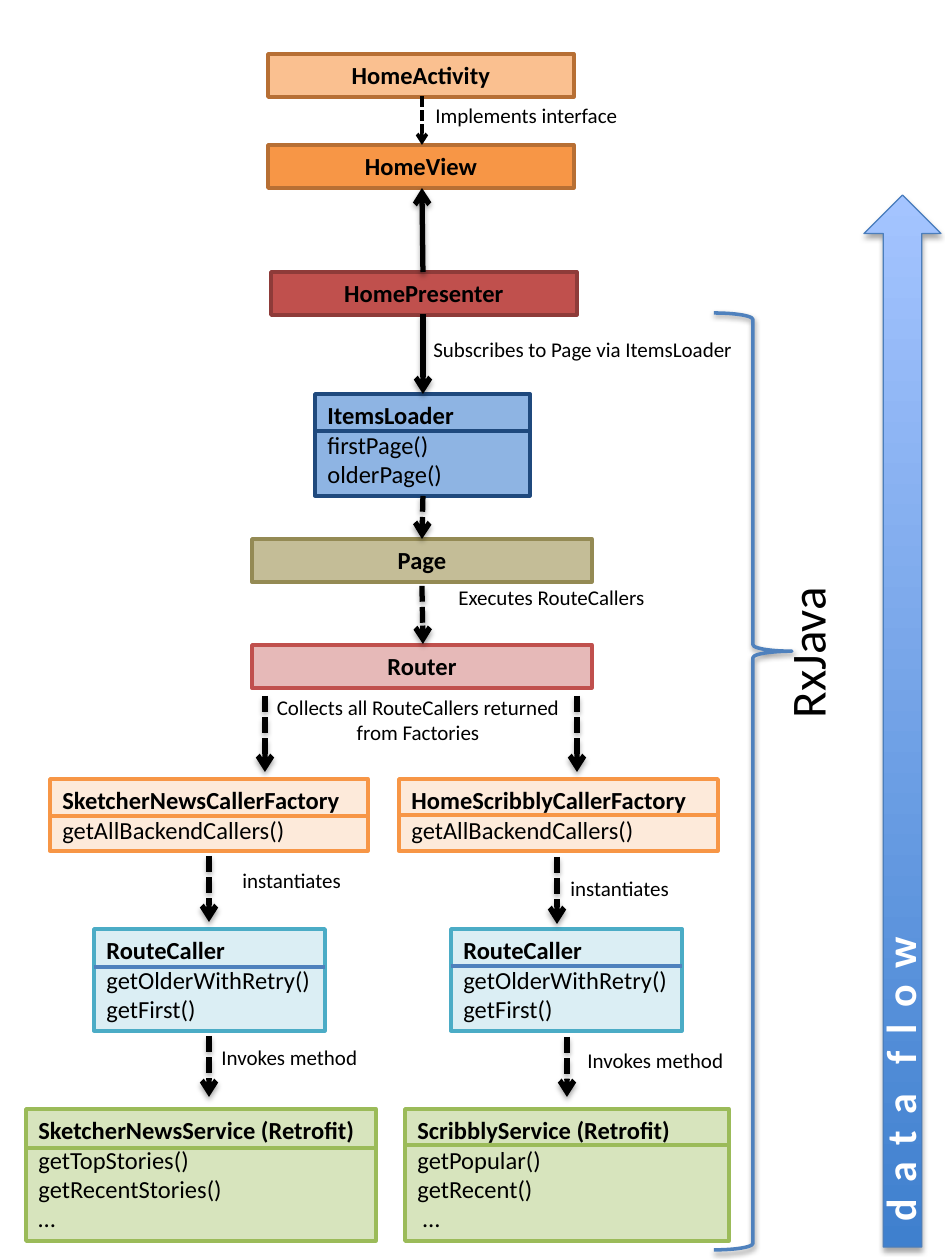
from lxml import etree
from pptx import Presentation
from pptx.dml.color import RGBColor
from pptx.enum.dml import MSO_LINE
from pptx.enum.shapes import MSO_CONNECTOR, MSO_SHAPE
from pptx.enum.text import MSO_ANCHOR, PP_ALIGN
from pptx.oxml.ns import qn
from pptx.util import Emu, Pt

RECT, BRACE, UP = MSO_SHAPE.RECTANGLE, MSO_SHAPE.RIGHT_BRACE, MSO_SHAPE.UP_ARROW
STRAIGHT, DASH = MSO_CONNECTOR.STRAIGHT, MSO_LINE.SQUARE_DOT
LEFT, CENTER, TOP = PP_ALIGN.LEFT, PP_ALIGN.CENTER, MSO_ANCHOR.TOP
PX = 914400 // 126
FONT = "Calibri"

COLORS = {
    "black": "000000", "white": "FFFFFF", "blue": "4F81BD",
    "peach": "FAC090", "orange": "F79646", "brown": "B76F34",
    "red": "C0504D", "dark_red": "8E3B39", "pink": "E6B9B8",
    "sky": "8EB4E3", "navy": "1F497D", "tan": "C4BD97", "olive": "948A54",
    "cream": "FDEADA", "ice": "DBEEF4", "teal": "4BACC6",
    "pale_green": "D7E4BD", "green": "9BBB59",
    "flow_dark": "3F80CE", "flow_light": "A4C4FF", "flow_line": "4B7EBC",
}

# name, left, top, width, fill, line
BARS = [
    ("HomeActivity", 268, 54, 306, "peach", "brown"),
    ("HomeView", 268, 145, 306, "orange", "brown"),
    ("HomePresenter", 271, 272, 306, "red", "dark_red"),
    ("Page", 252, 539, 340, "tan", "olive"),
    ("Router", 252, 645, 340, "pink", "red"),
]
BAR_HEIGHT = 43

CALLER = ["RouteCaller", "getOlderWithRetry()", "getFirst()"]
# lines, left, top, width, height, divider y, fill, line, divider colour
CLASSES = [
    (["ItemsLoader", "firstPage()", "olderPage()"],
     315, 394, 215, 102, 431, "sky", "navy", "navy"),
    (["SketcherNewsCallerFactory", "getAllBackendCallers()"],
     50, 779, 318, 72, 816, "cream", "orange", "orange"),
    (["HomeScribblyCallerFactory", "getAllBackendCallers()"],
     399, 779, 319, 72, 815, "cream", "orange", "orange"),
    (CALLER, 94, 929, 231, 102, 967, "ice", "teal", "blue"),
    (CALLER, 451, 929, 231, 102, 966, "ice", "teal", "blue"),
    (["SketcherNewsService (Retrofit)", "getTopStories()", "getRecentStories()", "…"],
     26, 1109, 350, 132, 1148, "pale_green", "green", "green"),
    (["ScribblyService (Retrofit)", "getPopular()", "getRecent()", " …"],
     405, 1109, 324, 132, 1145, "pale_green", "green", "green"),
]

# x1, y1, x2, y2, dashed, width
ARROWS = [
    (422, 96, 422, 145, True, 2),
    (423, 272, 422, 188, False, 3),
    (423, 314, 423, 394, False, 3),
    (423, 496, 422, 539, True, 3),
    (422, 586, 423, 644, True, 3),
    (265, 696, 265, 772, True, 3),
    (577, 696, 577, 772, True, 3),
    (209, 856, 209, 922, True, 3),
    (557, 857, 557, 924, True, 3),
    (209, 1036, 209, 1097, True, 3),
    (567, 1037, 567, 1097, True, 3),
]

# text, left, top, width, height, alignment
LABELS = [
    ("Implements interface", 423, 96, 381, 38, LEFT),
    ("Subscribes to Page via ItemsLoader", 421, 330, 381, 38, LEFT),
    ("Executes RouteCallers", 446, 578, 320, 38, LEFT),
    ("Collects all RouteCallers returned from Factories", 258, 688, 320, 63, CENTER),
    ("instantiates", 230, 861, 239, 38, LEFT),
    ("instantiates", 558, 869, 239, 38, LEFT),
    ("Invokes method", 209, 1038, 239, 38, LEFT),
    ("Invokes method", 575, 1041, 169, 38, LEFT),
]


def rgb(name):
    """Return the named colour."""
    return RGBColor.from_string(COLORS[name])


def emu(*lengths):
    """Turn pixel lengths into EMU."""
    return [Emu(n * PX) for n in lengths]


def write(sp, lines, size=12, color="black", align=LEFT, bold_first=False,
          wrap=True, spacing=0):
    """Fill a shape with one formatted paragraph per line."""
    tf = sp.text_frame
    tf.word_wrap, tf.vertical_anchor = wrap, TOP
    for i, line in enumerate(lines):
        p = tf.add_paragraph() if i else tf.paragraphs[0]
        p.alignment = align
        r = p.add_run()
        r.text = line
        r.font.name, r.font.size = FONT, Pt(size)
        r.font.bold = bold_first and i == 0
        r.font.color.rgb = rgb(color)
        if spacing:
            r.font._element.set("spc", str(spacing * 100))


def set_shadow(sp, alpha=0, dist=1.8):
    """Give a finished shape a soft shadow below, or none when alpha is 0."""
    effects = etree.SubElement(sp._element.spPr, qn("a:effectLst"))
    if alpha:
        shadow = etree.SubElement(effects, qn("a:outerShdw"), blurRad=str(Pt(3.1)),
                                  dist=str(Pt(dist)), dir="5400000", rotWithShape="0")
        black = etree.SubElement(shadow, qn("a:srgbClr"), val=COLORS["black"])
        etree.SubElement(black, qn("a:alpha"), val=str(alpha * 1000))


def add_box(box, fill, line):
    """Add a flat rectangle."""
    sp = shapes.add_shape(RECT, *emu(*box))
    sp.fill.solid()
    sp.fill.fore_color.rgb = rgb(fill)
    sp.line.color.rgb, sp.line.width = rgb(line), Pt(2)
    set_shadow(sp)
    return sp


def add_line(points, color, width=2, dashed=False, arrow=False, alpha=0):
    """Add a straight line, with an arrowhead at its end if asked."""
    line = shapes.add_connector(STRAIGHT, *emu(*points))
    line.line.color.rgb, line.line.width = rgb(color), Pt(width)
    if dashed:
        line.line.dash_style = DASH
    if arrow:
        etree.SubElement(line.line._get_or_add_ln(), qn("a:tailEnd"), type="arrow")
    set_shadow(line, alpha)
    return line


def add_label(text, box, rotation=0, **style):
    """Add a text box."""
    sp = shapes.add_textbox(*emu(*box))
    sp.rotation = rotation
    write(sp, [text], **style)


prs = Presentation()
prs.slide_width, prs.slide_height = emu(945, 1260)
shapes = prs.slides.add_slide(prs.slide_layouts[6]).shapes

for name, left, top, width, fill, line in BARS:
    bar = add_box((left, top, width, BAR_HEIGHT), fill, line)
    write(bar, [name], size=14, align=CENTER, bold_first=True)

for lines, left, top, width, height, split, fill, line, divider in CLASSES:
    box = add_box((left, top, width, height), fill, line)
    write(box, lines, size=14, bold_first=True)
    rule = add_line((left, split, left + width, split), divider)
    shapes.add_group_shape([box, rule])

for *points, dashed, width in ARROWS:
    add_line(points, "black", width, dashed, arrow=True, alpha=35 if width == 3 else 0)

for text, *box, align in LABELS:
    add_label(text, box, align=align)

brace = shapes.add_shape(BRACE, *emu(714, 313, 78, 937))
brace.adjustments[0], brace.adjustments[1] = 0.083, 0.361
brace.fill.background()
brace.line.color.rgb, brace.line.width = rgb("blue"), Pt(2)
set_shadow(brace, 38, 1.6)
add_label("RxJava", (727, 615, 159, 72), 270, size=28, wrap=False)

flow = shapes.add_shape(UP, *emu(864, 195, 77, 1052))
flow.fill.gradient()
flow.fill.gradient_angle = 90
for stop, position, color in zip(flow.fill.gradient_stops, (0, 1), ("flow_dark", "flow_light")):
    stop.position, stop.color.rgb = position, rgb(color)
flow.line.color.rgb, flow.line.width = rgb("flow_line"), Pt(0.75)
set_shadow(flow, 35)
add_label("d a t a  f l o w", (743, 1048, 313, 63), 270, size=24, color="white",
          align=CENTER, bold_first=True, wrap=False, spacing=2)

prs.save("out.pptx")
